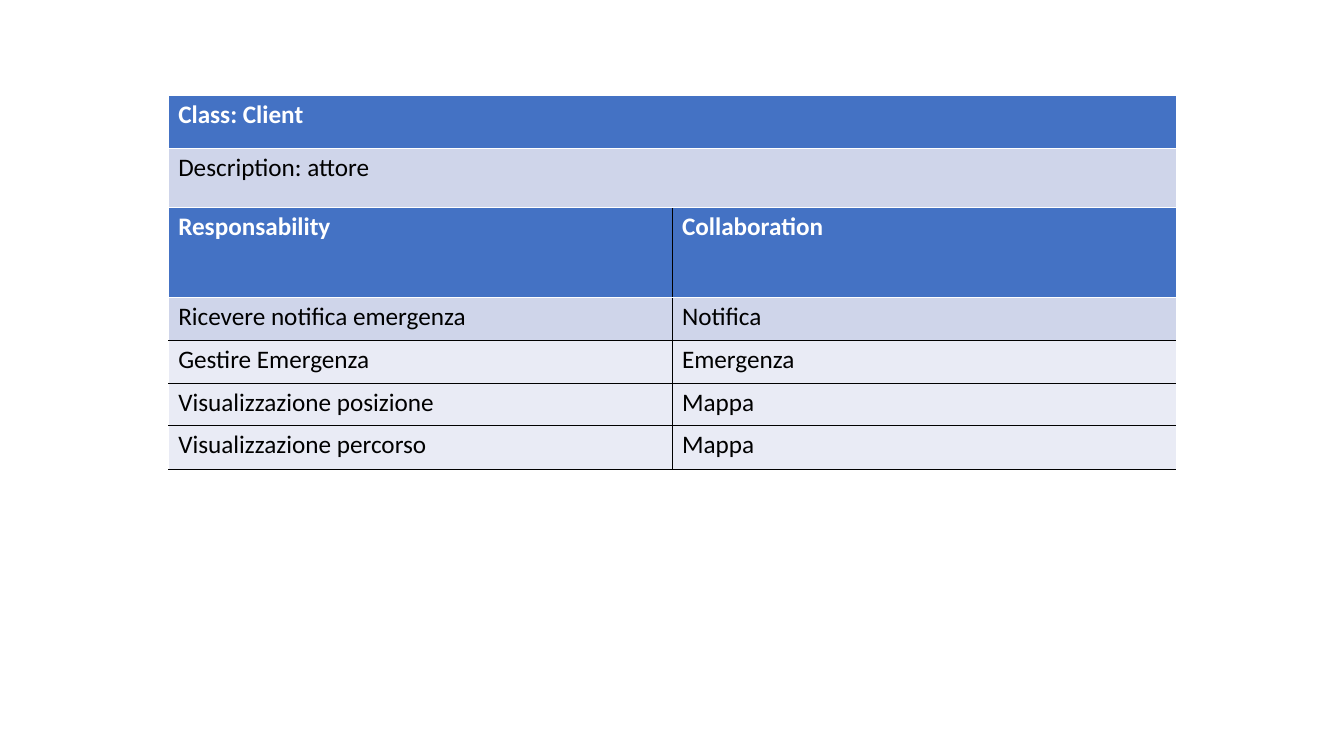
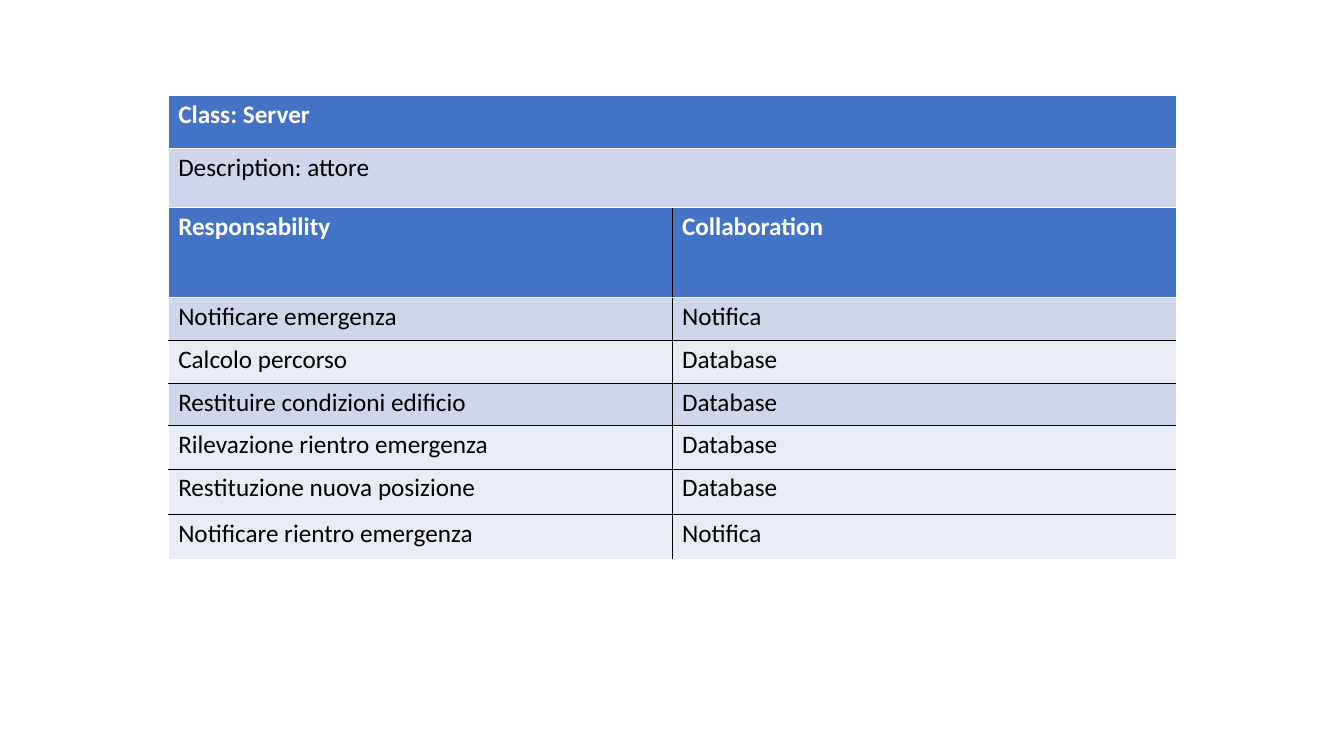
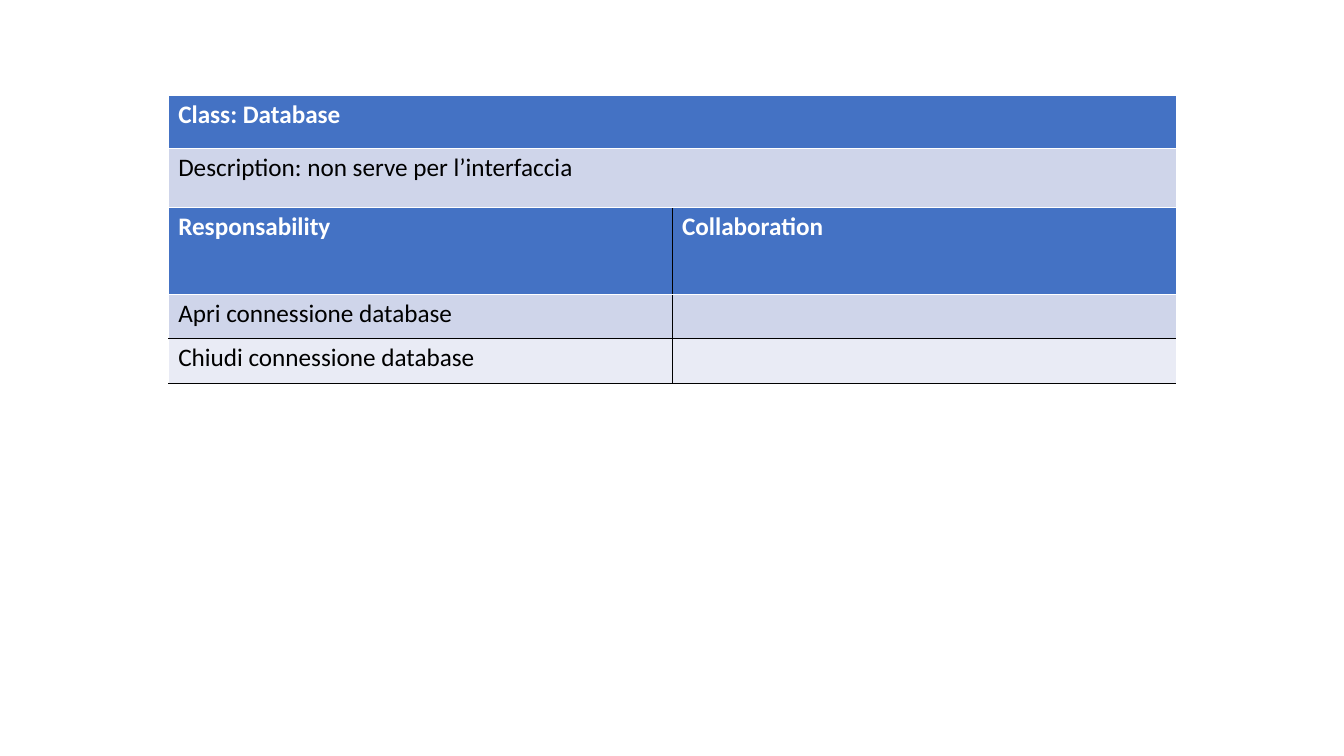
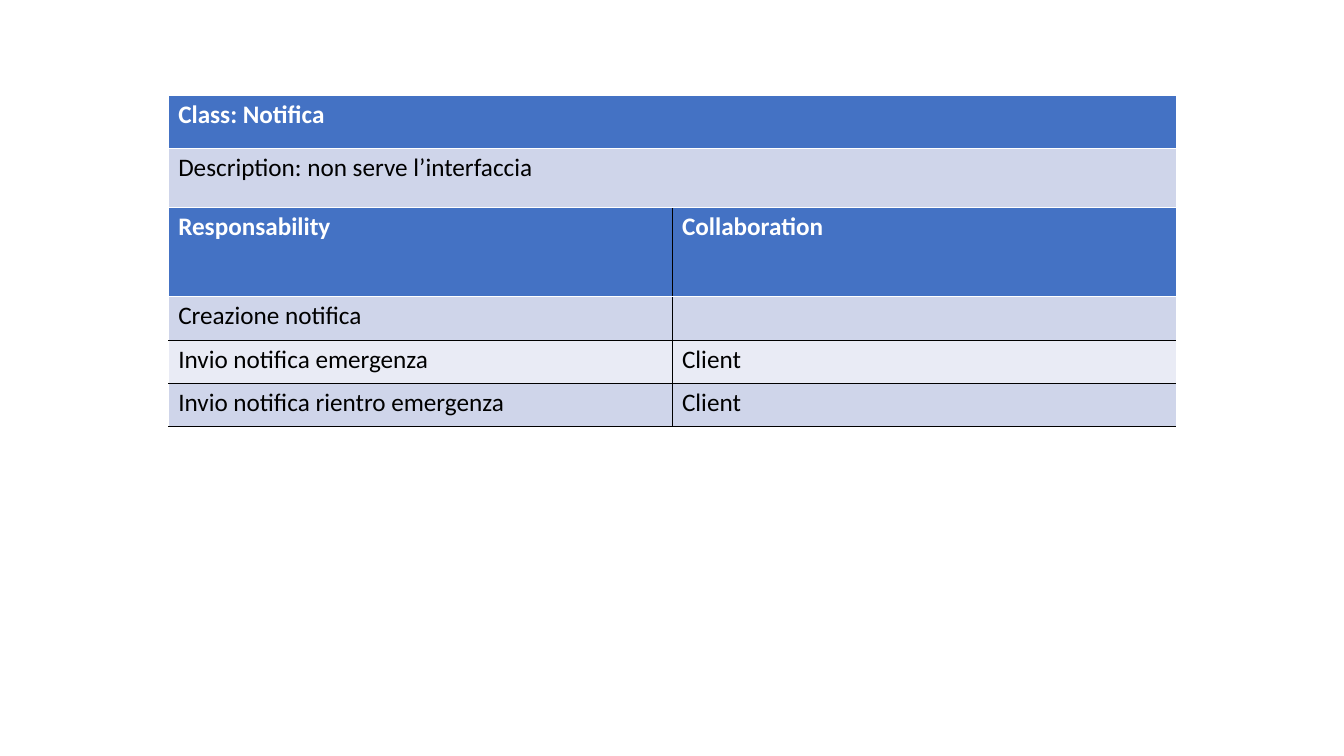
import pptx
import pptx.util
import pptx.dml.color
import pptx.oxml
import pptx.oxml.ns

Cm, Pt = pptx.util.Cm, pptx.util.Pt

WHITE, BLACK = "FFFFFF", "000000"
BLUE, DARK, LIGHT = "4472C4", "CFD5EA", "E9EBF5"
THIN, THICK = 0.06, 0.17

# Lengths in cm
SLIDE = (33.88, 19.05)
LEFT, TOP, WIDTH = 4.24, 2.4, 25.4
HEAD_ROWS = (1.34, 1.49)

HEAD_FONT = {"name": "Calibri", "size": Pt(18), "bold": True}
BODY_FONT = {"name": "Calibri", "size": Pt(18), "bold": False}

# Each duty: responsibility, collaboration, row fill, row height
CARDS = [
    {"name": "Client", "about": "attore", "head": 2.26, "foot": BLACK, "duties": [
        ("Ricevere notifica emergenza", "Notifica", DARK, 1.09),
        ("Gestire Emergenza", "Emergenza", LIGHT, 1.07),
        ("Visualizzazione posizione", "Mappa", LIGHT, 1.07),
        ("Visualizzazione percorso", "Mappa", LIGHT, 1.09),
    ]},
    {"name": "Server", "about": "attore", "head": 2.26, "foot": WHITE, "duties": [
        ("Notificare emergenza", "Notifica", DARK, 1.09),
        ("Calcolo percorso", "Database", LIGHT, 1.07),
        ("Restituire condizioni edificio", "Database", DARK, 1.07),
        ("Rilevazione rientro emergenza", "Database", LIGHT, 1.09),
        ("Restituzione nuova posizione", "Database", LIGHT, 1.14),
        ("Notificare rientro emergenza", "Notifica", LIGHT, 1.14),
    ]},
    {"name": "Database", "about": "non serve per l’interfaccia", "head": 2.18,
     "foot": BLACK, "duties": [
        ("Apri connessione database", "", DARK, 1.12),
        ("Chiudi connessione database", "", LIGHT, 1.12),
    ]},
    {"name": "Notifica", "about": "non serve l’interfaccia", "head": 2.24,
     "foot": BLACK, "duties": [
        ("Creazione notifica", "", DARK, 1.1),
        ("Invio notifica emergenza", "Client", LIGHT, 1.09),
        ("Invio notifica rientro emergenza", "Client", DARK, 1.07),
    ]},
]


def color(code):
    return pptx.dml.color.RGBColor.from_string(code)


def add_edge(cell, side, code, width):
    """Draw one cell border; side is L, R, T or B."""
    props = cell._tc.get_or_add_tcPr()
    props.append(pptx.oxml.parse_xml(
        f'<a:ln{side} {pptx.oxml.ns.nsdecls("a")} w="{int(Pt(width))}">'
        f'<a:solidFill><a:srgbClr val="{code}"/></a:solidFill></a:ln{side}>'))


def fill_cell(cell, text, fill):
    cell.fill.solid()
    cell.fill.fore_color.rgb = color(fill)
    para = cell.text_frame.paragraphs[0]
    para.line_spacing = 0.94
    if not text:
        return
    run = para.add_run()
    run.text = text
    head = fill == BLUE
    for key, value in (HEAD_FONT if head else BODY_FONT).items():
        setattr(run.font, key, value)
    run.font.color.rgb = color(WHITE if head else BLACK)


def add_grid(slide, top, rows, foot):
    """Add a table of (texts, fill, height) rows whose last edge has colour foot."""
    count = len(rows[0][0])
    total = sum(height for _, _, height in rows)
    table = slide.shapes.add_table(
        len(rows), count, Cm(LEFT), Cm(top), Cm(WIDTH), Cm(total)).table
    table.first_row = table.horz_banding = False
    for column in table.columns:
        column.width = Cm(WIDTH / count)

    # Horizontal lines from top to bottom: thick white below the heading
    lines = [(WHITE, THIN), (WHITE, THICK)]
    lines += [(BLACK, THIN)] * (len(rows) - 2) + [(foot, THIN)]
    walls = [WHITE] + [BLACK] * (count - 1) + [WHITE]
    for i, (texts, fill, height) in enumerate(rows):
        table.rows[i].height = Cm(height)
        for j, text in enumerate(texts):
            cell = table.cell(i, j)
            add_edge(cell, "L", walls[j], THIN)
            add_edge(cell, "R", walls[j + 1], THIN)
            add_edge(cell, "T", *lines[i])
            add_edge(cell, "B", *lines[i + 1])
            fill_cell(cell, text, fill)


def add_card(deck, card):
    slide = deck.slides.add_slide(deck.slide_layouts[6])
    duties = [(("Responsability", "Collaboration"), BLUE, card["head"])]
    duties += [((duty, partner), fill, height)
               for duty, partner, fill, height in card["duties"]]
    add_grid(slide, TOP + sum(HEAD_ROWS), duties, card["foot"])
    title = [((f"Class: {card['name']}",), BLUE, HEAD_ROWS[0]),
             ((f"Description: {card['about']}",), DARK, HEAD_ROWS[1])]
    add_grid(slide, TOP, title, WHITE)


def main():
    deck = pptx.Presentation()
    deck.slide_width, deck.slide_height = map(Cm, SLIDE)
    for card in CARDS:
        add_card(deck, card)
    deck.save("out.pptx")


if __name__ == "__main__":
    main()
